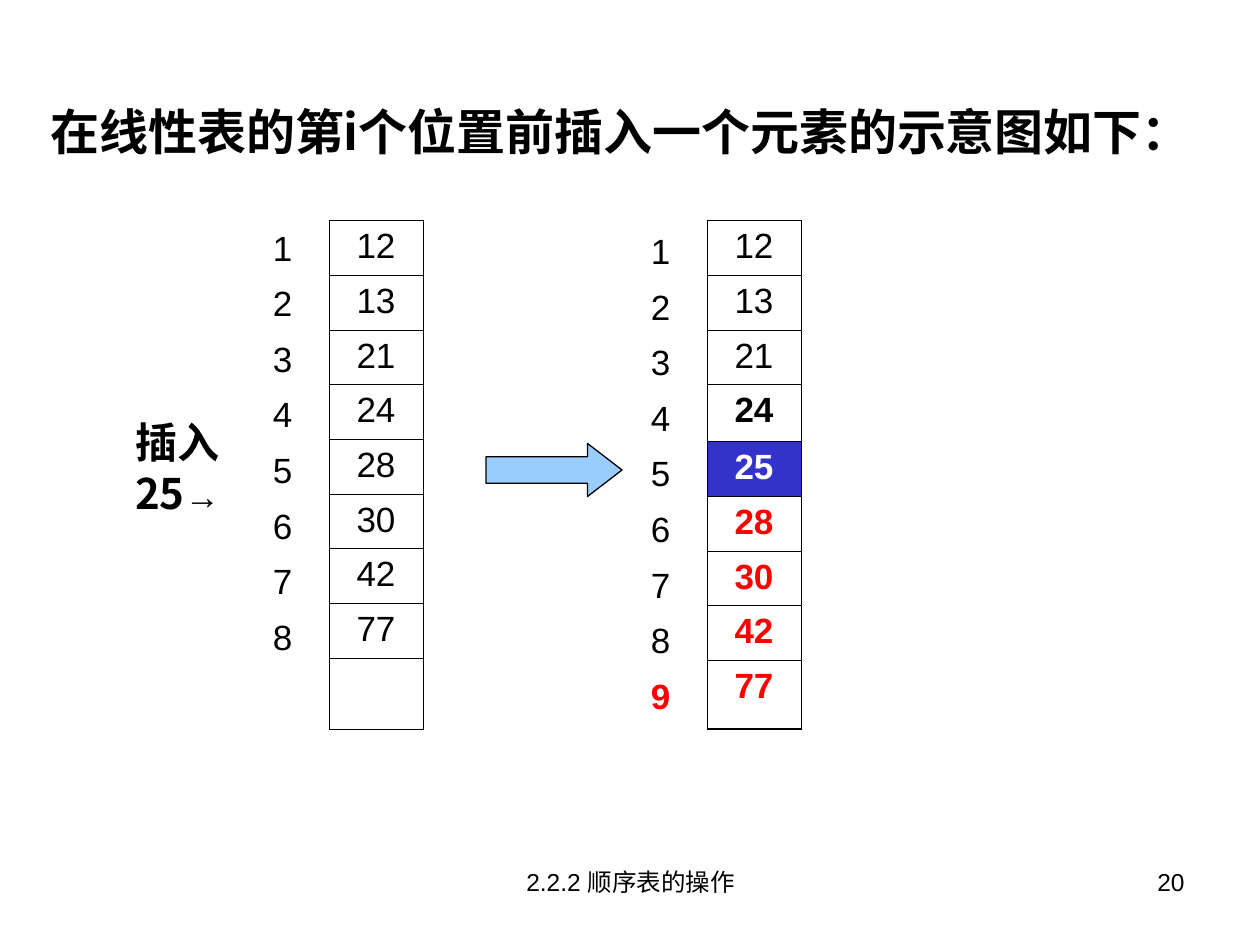
import pptx
import pptx.util
import pptx.dml.color
import pptx.enum.shapes
import pptx.enum.text
from lxml import etree

Cm, Pt = pptx.util.Cm, pptx.util.Pt
RGB = pptx.dml.color.RGBColor
ALIGN = pptx.enum.text.PP_ALIGN
BLACK = RGB(0x00, 0x00, 0x00)
WHITE = RGB(0xFF, 0xFF, 0xFF)
RED = RGB(0xFF, 0x00, 0x00)
BLUE = RGB(0x33, 0x33, 0xCC)
SKY = RGB(0x99, 0xCC, 0xFF)
SANS, HAN = "Arial", "Noto Sans CJK SC"
NS = "http://schemas.openxmlformats.org/drawingml/2006/main"
PLAIN = "{2D5ABB26-0587-4C30-8999-92F81FD0307C}"

TITLE = "在线性表的第i个位置前插入一个元素的示意图如下："
FOOTER = "2.2.2 顺序表的操作"
PAGE = "20"
BOLD = {"bold": True}
MOVED = {"bold": True, "color": RED}
ADDED = {"bold": True, "color": WHITE}

BEFORE = [(n, {}) for n in ("12", "13", "21", "24", "28", "30", "42", "77", "")]
AFTER = [("12", {}), ("13", {}), ("21", {}), ("24", BOLD), ("25", ADDED),
         ("28", MOVED), ("30", MOVED), ("42", MOVED), ("77", MOVED)]
INDEX = [(str(n), {}) for n in range(1, 9)]

LISTS = [
    {"rows": BEFORE, "left": 6.63, "top": 4.45, "width": 1.9,
     "sizes": [1.1] * 8 + [1.44], "lined": True},
    {"rows": AFTER, "left": 14.25, "top": 4.45, "width": 1.9,
     "sizes": [1.1] * 3 + [1.15] + [1.1] * 4 + [1.38], "lined": True},
    {"rows": INDEX + [("", {})], "left": 5.16, "top": 4.5, "width": 1.07,
     "sizes": [1.12] * 9},
    {"rows": INDEX + [("9", MOVED)], "left": 12.78, "top": 4.57, "width": 1.07,
     "sizes": [1.12] * 9},
]


def write(frame, text, size=20, font=SANS, color=BLACK, bold=False, align=ALIGN.CENTER):
    para = frame.paragraphs[0]
    para.alignment = align
    run = para.add_run()
    run.text = text
    face = run.font
    face.size, face.name, face.bold = Pt(size), font, bold
    face.color.rgb = color
    face._element.find(f"{{{NS}}}latin").addnext(
        etree.Element(f"{{{NS}}}ea", typeface=font))


def box(slide, left, top, width, height, wrap=True):
    frame = slide.shapes.add_textbox(Cm(left), Cm(top), Cm(width), Cm(height)).text_frame
    frame.word_wrap = wrap
    return frame


def border(cell, last):
    props = cell._tc.get_or_add_tcPr()
    for spot, side in enumerate("LRTB"):
        width = Pt(1.08 if last and side == "B" else 0.45)
        line = etree.Element(f"{{{NS}}}ln{side}", w=str(int(width)))
        fill = etree.SubElement(line, f"{{{NS}}}solidFill")
        etree.SubElement(fill, f"{{{NS}}}srgbClr", val=str(BLACK))
        props.insert(spot, line)


def column(slide, rows, left, top, width, sizes, lined=False):
    table = slide.shapes.add_table(len(rows), 1, Cm(left), Cm(top),
                                   Cm(width), Cm(sum(sizes))).table
    table.first_row = table.horz_banding = False
    table._tbl.tblPr.find(f"{{{NS}}}tableStyleId").text = PLAIN
    for row, (text, style) in enumerate(rows):
        table.rows[row].height = Cm(sizes[row])
        cell = table.cell(row, 0)
        if text:
            write(cell.text_frame, text, **style)
        if lined:
            cell.fill.solid()
            cell.fill.fore_color.rgb = BLUE if style is ADDED else WHITE
            border(cell, row == len(rows) - 1)
        else:
            cell.fill.background()


def main():
    deck = pptx.Presentation()
    deck.slide_width, deck.slide_height = Cm(25.4), Cm(19.05)
    slide = deck.slides.add_slide(deck.slide_layouts[6])

    write(box(slide, 18.21, 17.35, 5.92, 1.32), PAGE, size=14, align=ALIGN.RIGHT)
    write(box(slide, 0.38, 1.93, 24.26, 1.45, wrap=False), TITLE,
          size=28, font=HAN, bold=True)
    for part in LISTS:
        column(slide, **part)

    note = box(slide, 1.7, 8.28, 4.01, 1.27)
    note.margin_left, note.margin_right = Cm(0.5), Cm(0.75)
    write(note, "插入25", size=24, font=HAN, bold=True)
    write(note, "→", bold=True)

    arrow = slide.shapes.add_shape(pptx.enum.shapes.MSO_SHAPE.RIGHT_ARROW,
                                   Cm(9.8), Cm(8.94), Cm(2.74), Cm(1.07))
    arrow.shadow.inherit = False
    arrow.adjustments[0], arrow.adjustments[1] = 0.5, 0.65
    arrow.fill.solid()
    arrow.fill.fore_color.rgb = SKY
    arrow.line.color.rgb = BLACK
    arrow.line.width = Pt(0.75)

    write(box(slide, 8.69, 17.35, 8.05, 1.32), FOOTER, size=14)
    deck.save("out.pptx")


if __name__ == "__main__":
    main()
